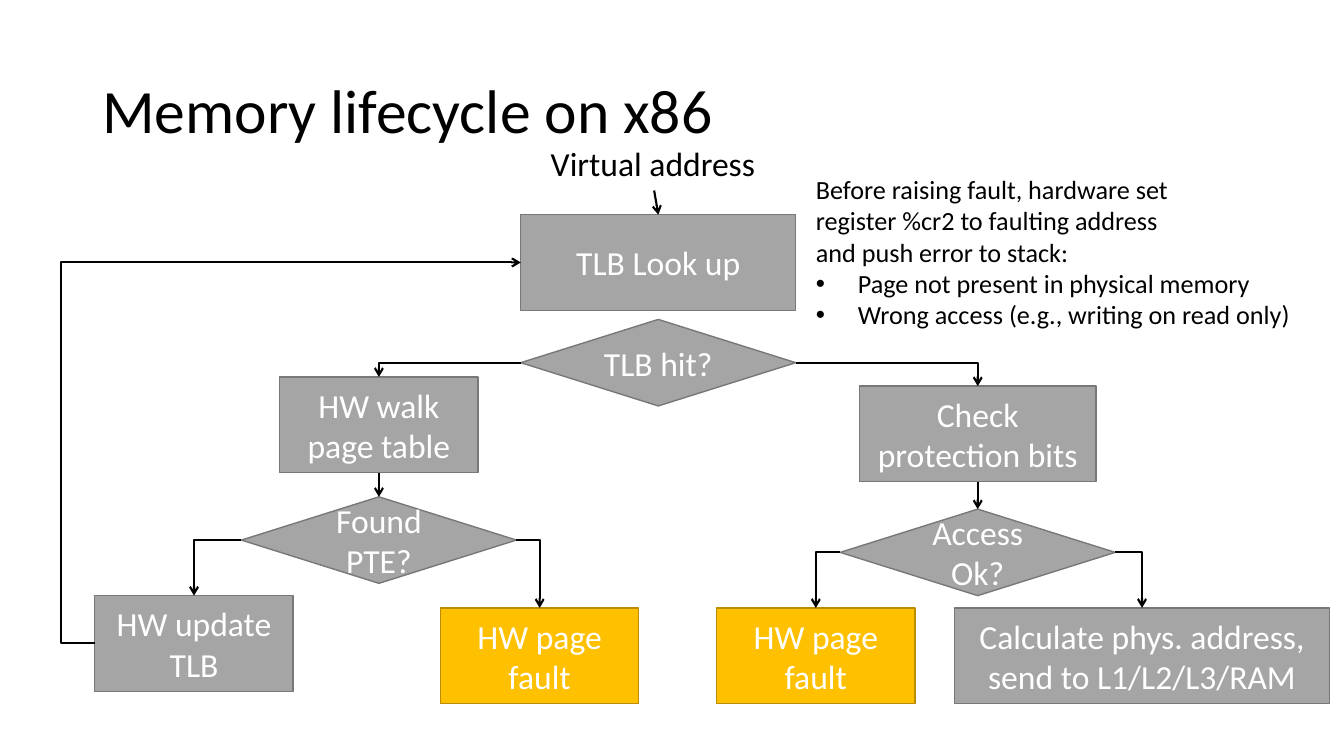
from lxml import etree
from pptx import Presentation
from pptx.dml.color import RGBColor
from pptx.enum.shapes import MSO_CONNECTOR, MSO_SHAPE
from pptx.enum.text import MSO_ANCHOR, PP_ALIGN
from pptx.oxml.ns import qn
from pptx.util import Cm, Pt

COLORS = {
    "text": "000000", "light": "FFFFFF",
    "step": "A5A5A5", "step_line": "787878",
    "fault": "FFC000", "fault_line": "BC8C00",
}
FONT = "Calibri"
RECTANGLE, DECISION = MSO_SHAPE.RECTANGLE, MSO_SHAPE.FLOWCHART_DECISION
STRAIGHT, ELBOW = MSO_CONNECTOR.STRAIGHT, MSO_CONNECTOR.ELBOW
MIDDLE, TOP_ANCHOR = MSO_ANCHOR.MIDDLE, MSO_ANCHOR.TOP
CENTER, LEFT_ALIGN = PP_ALIGN.CENTER, PP_ALIGN.LEFT
TOP, LEFT, BOTTOM, RIGHT = range(4)  # connection sites
BOX_HEIGHT, DECISION_HEIGHT = 2.41, 2.18

# name: (text, preset, colour, centre x, top, width), in cm from the flowchart's corner
NODES = {
    "lookup": ("TLB Look up", RECTANGLE, "step", 15.07, 1.98, 6.93),
    "hit": ("TLB hit?", DECISION, "step", 15.07, 4.62, 6.93),
    "walk": ("HW walk page table", RECTANGLE, "step", 8.03, 6.07, 5),
    "found": ("Found PTE?", DECISION, "step", 8.03, 9.09, 6.93),
    "update": ("HW update TLB", RECTANGLE, "step", 3.37, 11.58, 5),
    "missing": ("HW page fault", RECTANGLE, "fault", 12.08, 11.89, 5),
    "check": ("Check protection bits", RECTANGLE, "step", 23.12, 6.3, 5.97),
    "access": ("Access Ok?", DECISION, "step", 23.12, 9.4, 6.93),
    "denied": ("HW page fault", RECTANGLE, "fault", 19.04, 11.89, 5),
    "calculate": ("Calculate phys. address, send to L1/L2/L3/RAM",
                  RECTANGLE, "step", 27.26, 11.89, 9.45),
}
STRAIGHT_LINKS = [("address", "lookup"), ("walk", "found"), ("check", "access")]
# decision: (left branch, right branch)
BRANCHES = {
    "hit": ("walk", "check"),
    "found": ("update", "missing"),
    "access": ("denied", "calculate"),
}
NOTE_LINES = [
    "Before raising fault, hardware set",
    "register %cr2 to faulting address",
    "and push error to stack:",
]
NOTE_BULLETS = [
    "Page not present in physical memory",
    "Wrong access (e.g., writing on read only)",
]


def rgb(name):
    return RGBColor.from_string(COLORS[name])


def write_text(shape, text, size, color, anchor, alignment, insets, wrap=True):
    frame = shape.text_frame
    frame.text = text
    frame.word_wrap = wrap
    frame.vertical_anchor = anchor
    frame.margin_left = frame.margin_right = Cm(insets[0])
    frame.margin_top = frame.margin_bottom = Cm(insets[1])
    for paragraph in frame.paragraphs:
        paragraph.alignment = alignment
        for run in paragraph.runs:
            run.font.name = FONT
            run.font.size = Pt(size)
            run.font.color.rgb = rgb(color)
    return frame


def add_node(slide, origin, text, preset, color, center, top, width):
    height = DECISION_HEIGHT if preset == DECISION else BOX_HEIGHT
    shape = slide.shapes.add_shape(
        preset, Cm(origin[0] + center - width / 2), Cm(origin[1] + top),
        Cm(width), Cm(height))
    shape.shadow.inherit = False
    shape.fill.solid()
    shape.fill.fore_color.rgb = rgb(color)
    shape.line.color.rgb = rgb(color + "_line")
    shape.line.width = Pt(1)
    write_text(shape, text, 24, "light", MIDDLE, CENTER, (0.34, 0.17))
    return shape


def add_arrow(slide, kind, start, start_site, end, end_site):
    connector = slide.shapes.add_connector(kind, 0, 0, 0, 0)
    connector.begin_connect(start, start_site)
    connector.end_connect(end, end_site)
    connector.line.color.rgb = rgb("text")
    connector.line.width = Pt(1.5)
    etree.SubElement(connector.line._get_or_add_ln(), qn("a:tailEnd"), type="arrow")
    properties = connector._element.spPr
    etree.SubElement(properties, qn("a:effectLst"))
    return properties.find(qn("a:prstGeom"))


def draw_title(slide, left, top, width, height):
    box = slide.shapes.add_textbox(Cm(left), Cm(top), Cm(width), Cm(height))
    frame = write_text(box, "Memory lifecycle on x86", 44, "text",
                       MIDDLE, LEFT_ALIGN, (0.25, 0.13))
    frame.paragraphs[0].line_spacing = 0.9


def draw_flowchart(slide, left, top):
    nodes = {name: add_node(slide, (left, top), *node) for name, node in NODES.items()}

    # Entry label
    label = slide.shapes.add_textbox(Cm(left + 12.02), Cm(top), Cm(5.89), Cm(1.37))
    write_text(label, "Virtual address", 24, "text", TOP_ANCHOR, LEFT_ALIGN,
               (0.34, 0.17), wrap=False)
    nodes["address"] = label

    # Downward arrows
    for start, end in STRAIGHT_LINKS:
        add_arrow(slide, STRAIGHT, nodes[start], BOTTOM, nodes[end], TOP)

    # One-bend arrows from each decision
    for decision, targets in BRANCHES.items():
        for site, target in zip((LEFT, RIGHT), targets):
            geometry = add_arrow(slide, ELBOW, nodes[decision], site, nodes[target], TOP)
            geometry.set("prst", "bentConnector2")

    # Loop back to the lookup, bending outside the left edge
    geometry = add_arrow(slide, ELBOW, nodes["update"], LEFT, nodes["lookup"], LEFT)
    guides = geometry.get_or_add_avLst()
    etree.SubElement(guides, qn("a:gd"), name="adj1", fmla="val -7900")


def draw_note(slide, left, top, width, height):
    box = slide.shapes.add_textbox(Cm(left), Cm(top), Cm(width), Cm(height))
    frame = write_text(box, "\n".join(NOTE_LINES + NOTE_BULLETS), 18.7, "text",
                       TOP_ANCHOR, LEFT_ALIGN, (0.34, 0.17), wrap=False)
    for paragraph in frame.paragraphs[len(NOTE_LINES):]:
        properties = paragraph._p.get_or_add_pPr()
        properties.set("marL", str(Cm(1.06)))
        properties.set("indent", str(-Cm(1.06)))
        etree.SubElement(properties, qn("a:buFont"), typeface="Arial")
        etree.SubElement(properties, qn("a:buChar"), char="•")


def main():
    presentation = Presentation()
    presentation.slide_width, presentation.slide_height = Cm(33.87), Cm(19.05)
    slide = presentation.slides.add_slide(presentation.slide_layouts[6])
    draw_title(slide, 2.33, 1.01, 29.21, 3.68)
    draw_flowchart(slide, 1.52, 3.43)
    draw_note(slide, 20.22, 4.19, 12.75, 4.34)
    presentation.save("out.pptx")


if __name__ == "__main__":
    main()
